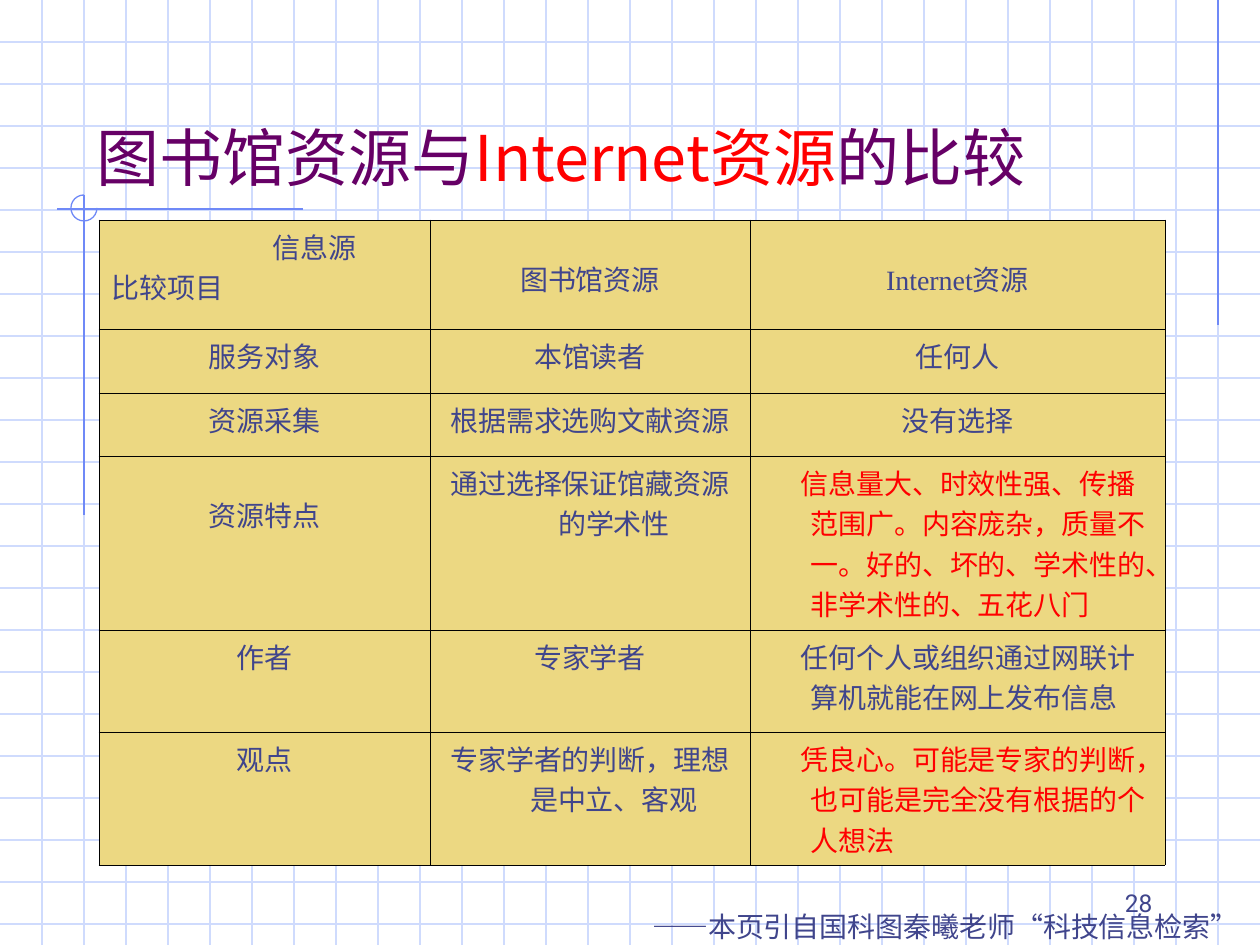
"""Builds a slide comparing library and Internet resources."""
from lxml.etree import SubElement
from pptx import Presentation
from pptx.dml.color import RGBColor
from pptx.enum.shapes import MSO_CONNECTOR as CONNECTOR, MSO_SHAPE as SHAPE
from pptx.enum.text import MSO_ANCHOR as ANCHOR, MSO_AUTO_SIZE as AUTO_SIZE, PP_ALIGN as ALIGN
from pptx.oxml.ns import qn
from pptx.util import Pt

PX = 914400 // 126
WIDTH, HEIGHT, GRID = 1260, 945, 42
PALE = RGBColor(0xCF, 0xDB, 0xFD)
BLUE = RGBColor(0x6F, 0x89, 0xF7)
INK = RGBColor(0x40, 0x45, 0x8C)
PURPLE = RGBColor(0x66, 0x00, 0x66)
RED = RGBColor(0xFF, 0x00, 0x00)
SAND = RGBColor(0xEC, 0xD8, 0x82)
HAN, SERIF, SANS = "Noto Sans CJK SC", "Times New Roman", "Roboto"

COLUMNS = [331, 320, 415]
ROWS = [109, 64, 63, 174, 102, 133]
LOWERED = 38
CENTRED = {"align": ALIGN.CENTER, "left": 48, "indent": -48}
PROSE = {"left": 48, "indent": -10}
CELLS = [
    [None, "图书馆资源", "Internet资源"],
    ["服务对象", "本馆读者", "任何人"],
    ["资源采集", "根据需求选购文献资源", "没有选择"],
    ["资源特点", "通过选择保证馆藏资源的学术性",
     "信息量大、时效性强、传播范围广。内容庞杂，质量不一。好的、坏的、学术性的、非学术性的、五花八门"],
    ["作者", "专家学者", "任何个人或组织通过网联计算机就能在网上发布信息"],
    ["观点", "专家学者的判断，理想是中立、客观",
     "凭良心。可能是专家的判断，也可能是完全没有根据的个人想法"],
]


def px(*lengths):
    """Turn pixel lengths into EMU."""
    return [length * PX for length in lengths]


def add_span(para, text, font=SERIF, size=16, color=INK):
    """Add one formatted run to a paragraph."""
    span = para.add_run()
    span.text = text
    span.font.size = Pt(size)
    span.font.color.rgb = color
    span.font.name = font
    SubElement(span._r.get_or_add_rPr(), qn("a:ea"), typeface=HAN)


def write(para, *texts, align=ALIGN.LEFT, left=0, indent=0, **style):
    """Fill a paragraph with runs, each a text or a (text, style) pair."""
    para.alignment = align
    properties = para._p.get_or_add_pPr()
    properties.set("marL", str(left * PX))
    properties.set("indent", str(indent * PX))
    for text in texts:
        words, changes = (text, {}) if isinstance(text, str) else text
        add_span(para, words, **{**style, **changes})


def add_line(page, start, end, color):
    """Draw a thin straight line without a shadow."""
    line = page.shapes.add_connector(CONNECTOR.STRAIGHT, *px(*start, *end))
    line.line.color.rgb = color
    line.line.width = Pt(0.75)
    SubElement(line._element.spPr, qn("a:effectLst"))


def add_backdrop(page):
    """Draw the squared paper and the accent lines."""
    for y in range(GRID, HEIGHT, GRID):
        add_line(page, (0, y), (WIDTH, y), PALE)
    for x in range(GRID, WIDTH, GRID):
        add_line(page, (x, 0), (x, HEIGHT), PALE)
    add_line(page, (1218, 0), (1218, 325), BLUE)
    add_line(page, (303, 209), (57, 209), BLUE)
    add_line(page, (84, 195), (84, 515), BLUE)
    arc = page.shapes.add_shape(SHAPE.ARC, *px(71, 195, 26, 26))
    arc.adjustments[0], arc.adjustments[1] = 0, 162
    arc.shadow.inherit = False
    arc.fill.background()
    arc.line.color.rgb = BLUE
    arc.line.width = Pt(0.75)


def add_title(page):
    """Place the title above the backdrop."""
    title = page.shapes.title
    title.left, title.top, title.width, title.height = px(84, 42, 1071, 158)
    title.element.getparent().append(title.element)
    frame = title.text_frame
    frame.auto_size = AUTO_SIZE.NONE
    frame.vertical_anchor = ANCHOR.BOTTOM
    write(frame.paragraphs[0], "图书馆资源与", ("Internet资源", {"color": RED}), "的比较",
          font=HAN, size=36, color=PURPLE)


def add_text(page, bounds, *texts, anchor=ANCHOR.TOP, **style):
    """Add a wrapping text box with one paragraph."""
    frame = page.shapes.add_textbox(*px(*bounds)).text_frame
    frame.word_wrap = True
    frame.vertical_anchor = anchor
    write(frame.paragraphs[0], *texts, **style)


def format_cell(cell):
    """Give a cell its fill and thin black borders."""
    cell.fill.solid()
    cell.fill.fore_color.rgb = SAND
    properties = cell._tc.get_or_add_tcPr()
    for index, side in enumerate(("lnL", "lnR", "lnT", "lnB")):
        border = properties.makeelement(qn(f"a:{side}"), {"w": str(Pt(0.45))})
        properties.insert(index, border)
        SubElement(SubElement(border, qn("a:solidFill")), qn("a:srgbClr"), val="000000")


def add_comparison(page):
    """Build the comparison table."""
    bounds = px(99, 220, sum(COLUMNS), sum(ROWS))
    table = page.shapes.add_table(len(ROWS), len(COLUMNS), *bounds).table
    table.first_row = table.horz_banding = False
    for column, width in zip(table.columns, COLUMNS):
        column.width = width * PX
    for row, height in zip(table.rows, ROWS):
        row.height = height * PX
    for r, texts in enumerate(CELLS):
        for c, text in enumerate(texts):
            cell = table.cell(r, c)
            format_cell(cell)
            if text is None:
                continue
            if r == 0 or (r, c) == (3, 0):
                cell.margin_top = LOWERED * PX
            layout = PROSE if c == 2 and r >= 3 else CENTRED
            color = RED if (r, c) in ((3, 2), (5, 2)) else INK
            write(cell.text_frame.paragraphs[0], text, color=color, **layout)
    corner = table.cell(0, 0).text_frame
    write(corner.paragraphs[0], "信息源", left=161)
    write(corner.add_paragraph(), "比较项目")


def main():
    """Build and save the deck."""
    deck = Presentation()
    deck.slide_width, deck.slide_height = px(WIDTH, HEIGHT)
    page = deck.slides.add_slide(deck.slide_layouts[5])
    add_backdrop(page)
    add_title(page)
    add_text(page, (903, 861, 262, 63), "28", anchor=ANCHOR.BOTTOM,
             align=ALIGN.RIGHT, font=SANS, size=14)
    add_comparison(page)
    add_text(page, (640, 903, 617, 81), "——本页引自国科图",
             ("秦曦老师“科技信息检索”", {"font": HAN}), font=SANS)
    deck.save("out.pptx")


if __name__ == "__main__":
    main()
